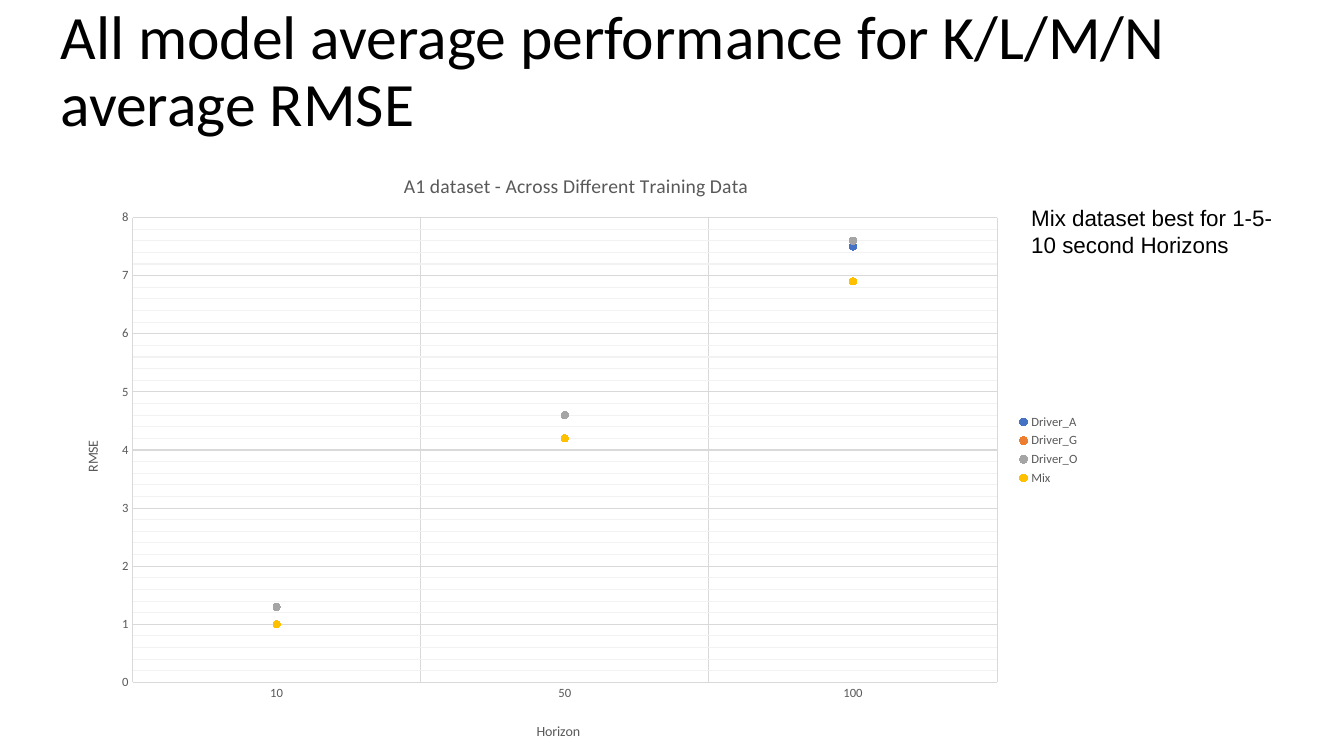
from lxml.etree import Element, SubElement
from pptx import Presentation
from pptx.chart.data import CategoryChartData
from pptx.dml.color import RGBColor
from pptx.enum.chart import XL_CHART_TYPE, XL_LEGEND_POSITION, XL_MARKER_STYLE, XL_TICK_MARK
from pptx.enum.text import MSO_ANCHOR, MSO_AUTO_SIZE, PP_ALIGN
from pptx.oxml.ns import qn
from pptx.util import Emu, Pt

PX = 9144
COLORS = {
    "text": "000000", "label": "595959", "grid": "D9D9D9", "minor": "F2F2F2",
    "Driver_A": "4472C4", "Driver_G": "ED7D31", "Driver_O": "A5A5A5", "Mix": "FFC000",
}
HORIZONS = ["10", "50", "100"]
RMSE = {
    "Driver_A": (1.3, 4.6, 7.5),
    "Driver_G": (1.3, 4.6, 7.6),
    "Driver_O": (1.3, 4.6, 7.6),
    "Mix": (1, 4.2, 6.9),
}


def px(*lengths):
    return [Emu(length * PX) for length in lengths]


def color(name):
    return RGBColor.from_string(COLORS[name])


def style_font(font, size, name="Calibri", tint="label"):
    font.name = name
    font.size = Pt(size)
    font.bold = False
    font.color.rgb = color(tint)


def style_line(line, tint):
    line.color.rgb = color(tint)
    line.width = Pt(0.75)


def add_heading(page, text, box):
    heading = page.shapes.title
    heading.left, heading.top, heading.width, heading.height = px(*box)
    frame = heading.text_frame
    frame.text = text
    frame.word_wrap = True
    frame.auto_size = MSO_AUTO_SIZE.NONE
    frame.vertical_anchor = MSO_ANCHOR.MIDDLE
    para = frame.paragraphs[0]
    para.line_spacing = 0.9
    para.alignment = PP_ALIGN.LEFT
    style_font(para.runs[0].font, 44, tint="text")


def add_note(page, text, box):
    frame = page.shapes.add_textbox(*px(*box)).text_frame
    frame.word_wrap = True
    frame.auto_size = MSO_AUTO_SIZE.SHAPE_TO_FIT_TEXT
    frame.text = text
    style_font(frame.paragraphs[0].runs[0].font, 16, "Arial", "text")


def set_layout(element, **places):
    layout = element.find(qn("c:layout"))
    if layout is None:
        layout = Element(qn("c:layout"))
        element.insert(0 if element.find(qn("c:tx")) is None else 1, layout)
    manual = SubElement(layout, qn("c:manualLayout"))
    if "w" in places:
        SubElement(manual, qn("c:layoutTarget")).set("val", "inner")
    for mode in ("xMode", "yMode"):
        SubElement(manual, qn(f"c:{mode}")).set("val", "edge")
    for side, share in places.items():
        SubElement(manual, qn(f"c:{side}")).set("val", str(share))


def style_title(title, text, size, x, y):
    title.text_frame.text = text
    style_font(title.text_frame.paragraphs[0].runs[0].font, size)
    set_layout(title._element, x=x, y=y)


def style_axis(axis, text, x, y):
    style_title(axis.axis_title, text, 10, x, y)
    axis.major_tick_mark = XL_TICK_MARK.NONE
    axis.minor_tick_mark = XL_TICK_MARK.NONE
    axis.has_major_gridlines = True
    style_line(axis.major_gridlines.format.line, "grid")
    style_font(axis.tick_labels.font, 9)


def add_minor_gridlines(axis):
    axis.has_minor_gridlines = True
    gridlines = axis._element.find(qn("c:minorGridlines"))
    properties = SubElement(gridlines, qn("c:spPr"))
    line = SubElement(properties, qn("a:ln"), w=str(Pt(0.75)))
    fill = SubElement(line, qn("a:solidFill"))
    SubElement(fill, qn("a:srgbClr"), val=COLORS["minor"])


def style_series(series):
    series.smooth = False
    series.format.line.fill.background()
    marker = series.marker
    marker.style = XL_MARKER_STYLE.CIRCLE
    marker.size = 5
    marker.format.fill.solid()
    marker.format.fill.fore_color.rgb = color(series.name)
    style_line(marker.format.line, series.name)


def add_rmse_chart(page, box):
    chart_data = CategoryChartData()
    chart_data.categories = HORIZONS
    for name, values in RMSE.items():
        chart_data.add_series(name, values)
    chart = page.shapes.add_chart(XL_CHART_TYPE.LINE_MARKERS, *px(*box), chart_data).chart
    style_font(chart.font, 10, tint="text")
    chart.has_title = True
    style_title(chart.chart_title, "A1 dataset - Across Different Training Data", 14, 0.33, 0.04)
    style_axis(chart.category_axis, "Horizon", 0.46, 0.94)
    style_line(chart.category_axis.format.line, "grid")

    scale = chart.value_axis
    style_axis(scale, "RMSE", 0.02, 0.48)
    scale.minimum_scale, scale.maximum_scale = 0, 8
    scale.major_unit, scale.minor_unit = 1, 0.2
    add_minor_gridlines(scale)
    scale.format.line.fill.background()
    scale.tick_labels.number_format = "General"
    scale.tick_labels.number_format_is_linked = False

    chart.has_legend = True
    chart.legend.position = XL_LEGEND_POSITION.RIGHT
    chart.legend.include_in_layout = False
    style_font(chart.legend.font, 9)
    chart.plots[0].vary_by_categories = False
    for series in chart.plots[0].series:
        style_series(series)
    set_layout(chart._chartSpace.chart.plotArea, x=0.07, y=0.12, w=0.84, h=0.76)


def main():
    deck = Presentation()
    deck.slide_width, deck.slide_height = px(1333, 750)
    page = deck.slides.add_slide(deck.slide_layouts[5])
    add_heading(page, "All model average performance for K/L/M/N average RMSE", (50, 0, 1150, 145))
    add_rmse_chart(page, (60, 143, 1021, 607))
    add_note(page, "Mix dataset best for 1-5-10 second Horizons", (1013, 198, 273, 64))
    deck.save("out.pptx")


if __name__ == "__main__":
    main()
